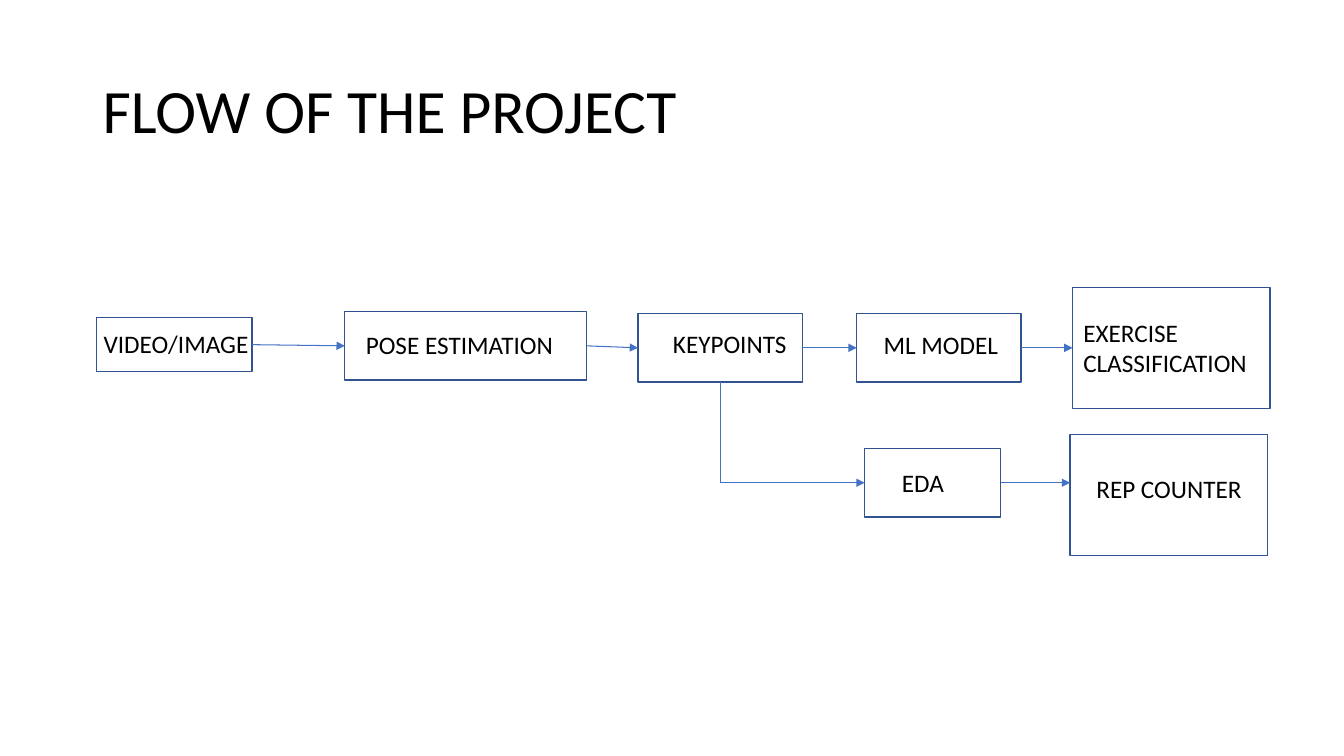
"""Build a one-slide flow diagram of the exercise recognition project."""
from dataclasses import dataclass

from lxml import etree
from pptx import Presentation
from pptx import util as u
from pptx.dml.color import RGBColor
from pptx.enum import shapes, text
from pptx.oxml import ns


@dataclass(frozen=True)
class Theme:
    font: str = "Calibri"
    ink: RGBColor = RGBColor(0x00, 0x00, 0x00)
    border: RGBColor = RGBColor(0x31, 0x53, 0x8F)
    arrow: RGBColor = RGBColor(0x44, 0x72, 0xC4)
    title_size: u.Pt = u.Pt(44)
    label_size: u.Pt = u.Pt(18)
    border_width: u.Pt = u.Pt(1)
    arrow_width: u.Pt = u.Pt(0.75)


THEME = Theme()
TOP, LEFT, BOTTOM, RIGHT = range(4)


def write(frame, wording, size):
    """Fill a text frame with one left-aligned paragraph."""
    frame.word_wrap = True
    para = frame.paragraphs[0]
    para.text = wording
    para.alignment = text.PP_ALIGN.LEFT
    para.font.name = THEME.font
    para.font.size = size
    para.font.color.rgb = THEME.ink
    return para


def connect(start, end, arrow=True):
    """Draw a line between two points, with an optional arrowhead."""
    line = page.shapes.add_connector(shapes.MSO_CONNECTOR.STRAIGHT, *start, *end)
    line.line.color.rgb = THEME.arrow
    line.line.width = THEME.arrow_width
    if arrow:
        etree.SubElement(line.line._get_or_add_ln(), ns.qn("a:tailEnd"), type="triangle")
    etree.SubElement(line._element.spPr, ns.qn("a:effectLst"))
    return line


deck = Presentation()
deck.slide_width, deck.slide_height = u.Cm(33.87), u.Cm(19.05)
page = deck.slides.add_slide(deck.slide_layouts[5])

title = page.shapes.title
title.left, title.top, title.width, title.height = map(u.Cm, (2.33, 1.01, 29.21, 3.68))
title_para = write(title.text_frame, "FLOW OF THE PROJECT", THEME.title_size)
title_para.line_spacing = 0.9
title.text_frame.vertical_anchor = text.MSO_ANCHOR.MIDDLE
title.text_frame.auto_size = text.MSO_AUTO_SIZE.NONE

STEPS = {
    "VIDEO/IMAGE": ((2.44, 8, 3.91, 1.37), (2.36, 8.15, 4.3, 1.02)),
    "POSE ESTIMATION": ((8.69, 7.85, 6.1, 1.73), (8.97, 8.18, 5.26, 1.02)),
    "KEYPOINTS": ((16.08, 7.9, 4.14, 1.73), (16.71, 8.15, 3.4, 1.02)),
    "ML MODEL": ((21.59, 7.9, 4.14, 1.73), (22.02, 8.18, 3.43, 1.02)),
    "EXERCISE CLASSIFICATION": ((27.03, 7.24, 4.98, 3.05), (27.05, 7.87, 4.88, 1.8)),
    "EDA": ((21.79, 11.3, 3.43, 1.73), (22.48, 11.66, 1.96, 1.02)),
    "REP COUNTER": ((26.97, 10.95, 4.98, 3.05), (27.38, 11.81, 4.19, 1.02)),
}
boxes = {}
for step, (box_area, label_area) in STEPS.items():
    box = page.shapes.add_shape(shapes.MSO_SHAPE.RECTANGLE, *map(u.Cm, box_area))
    box.shadow.inherit = False
    box.fill.background()
    box.line.color.rgb = THEME.border
    box.line.width = THEME.border_width
    boxes[step] = box
    label = page.shapes.add_textbox(*map(u.Cm, label_area))
    write(label.text_frame, step, THEME.label_size)

main_row = list(boxes.values())[:5]
for source, target in zip(main_row, main_row[1:]):
    link = connect((0, 0), (0, 0))
    link.begin_connect(source, RIGHT)
    link.end_connect(target, LEFT)

keypoints, eda, counter = (boxes[step] for step in ("KEYPOINTS", "EDA", "REP COUNTER"))
branch_x = keypoints.left + keypoints.width // 2
branch_y = eda.top + eda.height // 2
corner = (branch_x, branch_y)
connect((branch_x, keypoints.top + keypoints.height), corner, arrow=False).begin_connect(keypoints, BOTTOM)
connect(corner, (eda.left, branch_y)).end_connect(eda, LEFT)
connect((eda.left + eda.width, branch_y), (counter.left, branch_y)).begin_connect(eda, RIGHT)

deck.save("out.pptx")
